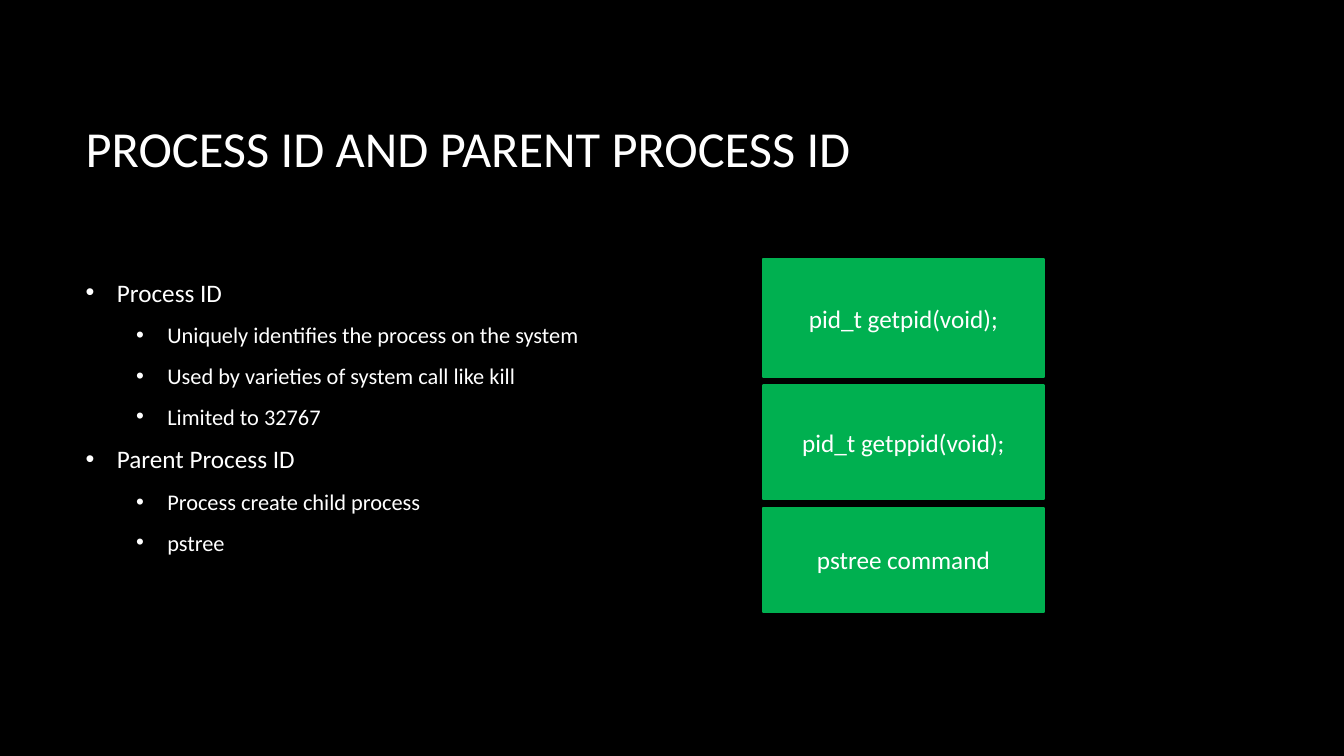
import pptx
import pptx.dml.color
import pptx.enum.shapes
import pptx.enum.text
import pptx.oxml
import pptx.util

ANCHOR = pptx.enum.text.MSO_ANCHOR
ALIGN = pptx.enum.text.PP_ALIGN
NS = 'xmlns:a="http://schemas.openxmlformats.org/drawingml/2006/main"'


def rgb(value):
    return pptx.dml.color.RGBColor.from_string(value)


class Deck:
    columns, rows = 16, 15
    font, ink, paper, accent = "Calibri", "FFFFFF", "000000", "00B050"

    def __init__(self):
        self.prs = pptx.Presentation()
        self.prs.slide_width = pptx.util.Inches(13.33)
        self.prs.slide_height = pptx.util.Inches(7.5)

    def add_slide(self):
        self.s = self.prs.slides.add_slide(self.prs.slide_layouts[1])
        fill = self.s.background.fill
        fill.solid()
        fill.fore_color.rgb = rgb(self.paper)

    def box(self, left, top, width, height):
        col = self.prs.slide_width / self.columns
        row = self.prs.slide_height / self.rows
        return [round(n) for n in (left * col, top * row, width * col, height * row)]

    def place(self, sp, *cells):
        sp.left, sp.top, sp.width, sp.height = self.box(*cells)
        tf = sp.text_frame
        tf.auto_size = pptx.enum.text.MSO_AUTO_SIZE.NONE
        tf.vertical_anchor = ANCHOR.MIDDLE
        return tf

    def set_text(self, p, text, size, align):
        p.text = text
        p.alignment = align
        p.font.name = self.font
        p.font.size = pptx.util.Pt(size)
        p.font.color.rgb = rgb(self.ink)

    def title(self, text, *cells):
        tf = self.place(self.s.shapes.title, *cells)
        self.set_text(tf.paragraphs[0], text, 36, ALIGN.LEFT)

    def bullets(self, items, *cells):
        tf = self.place(self.s.placeholders[1], *cells)
        tf.margin_bottom = pptx.util.Inches(0.46)
        for i, (level, text) in enumerate(items):
            p = tf.add_paragraph() if i else tf.paragraphs[0]
            self.set_text(p, text, 18 - 2 * level, ALIGN.LEFT)
            p.level = level
            p.line_spacing = 1.0
            p.space_before = pptx.util.Pt(0)
            p.space_after = pptx.util.Pt(10)
            pPr = p._p.get_or_add_pPr()
            pPr.set("marL", str(pptx.util.Inches(0.31 + 0.5 * level)))
            pPr.set("indent", str(pptx.util.Inches(-0.31)))
            for xml in (
                f'<a:buClr {NS}><a:srgbClr val="{self.ink}"/></a:buClr>',
                f'<a:buFont {NS} typeface="Arial"/>',
                f'<a:buChar {NS} char="•"/>',
            ):
                pPr.insert_element_before(
                    pptx.oxml.parse_xml(xml), "a:tabLst", "a:defRPr", "a:extLst"
                )

    def card(self, text, *cells):
        sp = self.s.shapes.add_shape(
            pptx.enum.shapes.MSO_SHAPE.RECTANGLE, *self.box(*cells)
        )
        sp.shadow.inherit = False
        sp.fill.solid()
        sp.fill.fore_color.rgb = rgb(self.accent)
        sp.line.color.rgb = rgb(self.accent)
        sp.line.width = pptx.util.Pt(1.5)
        tf = sp.text_frame
        tf.word_wrap = True
        tf.vertical_anchor = ANCHOR.MIDDLE
        self.set_text(tf.paragraphs[0], text, 18, ALIGN.CENTER)


def main():
    deck = Deck()
    deck.add_slide()
    deck.title("PROCESS ID AND PARENT PROCESS ID", 0.9, 1.34, 13.3, 3.18)
    deck.bullets(
        [
            (0, "Process ID"),
            (1, "Uniquely identifies the process on the system"),
            (1, "Used by varieties of system call like kill"),
            (1, "Limited to 32767"),
            (0, "Parent Process ID"),
            (1, "Process create child process"),
            (1, "pstree"),
        ],
        0.9, 4.68, 6.55, 7.98,
    )
    top, gap = 5.14, 0.17
    for text, height in (
        ("pid_t getpid(void);", 2.34),
        ("pid_t getppid(void);", 2.26),
        ("pstree command", 2.06),
    ):
        deck.card(text, 9.08, top, 3.35, height)
        top += height + gap
    deck.prs.save("out.pptx")


if __name__ == "__main__":
    main()
